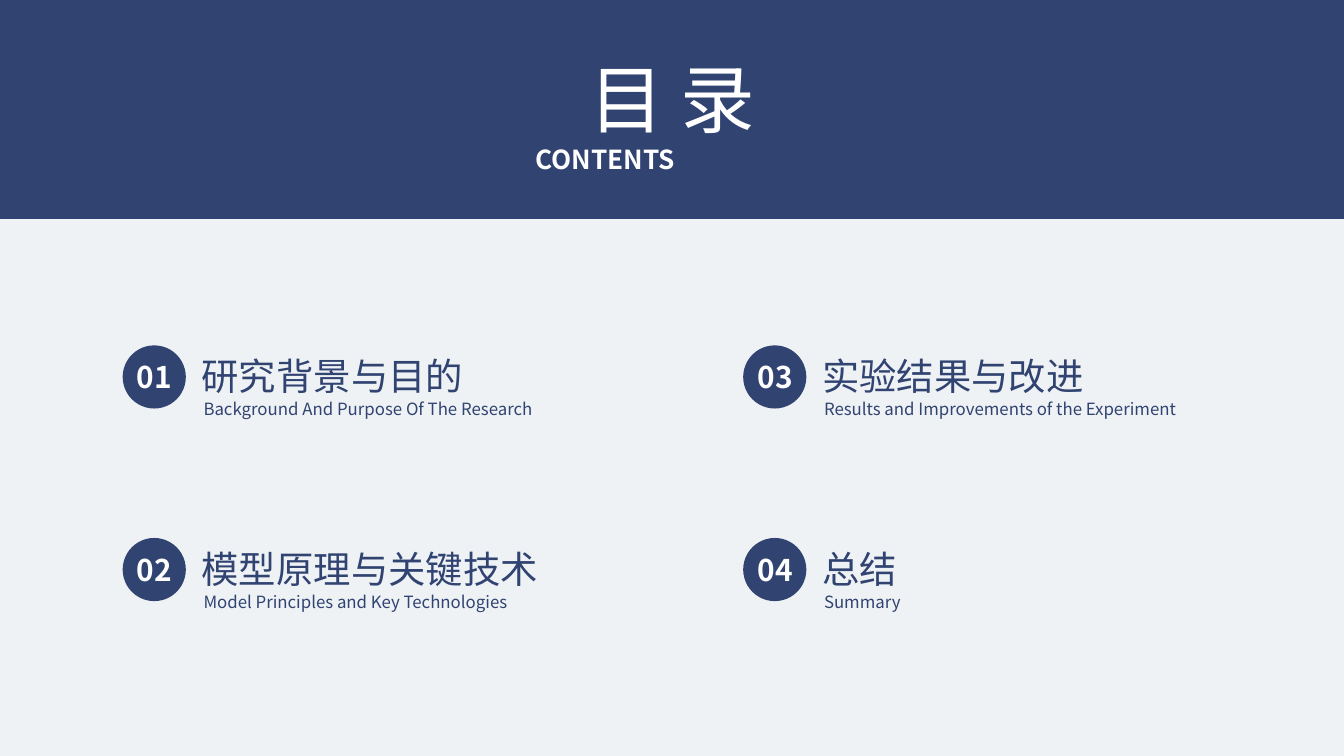
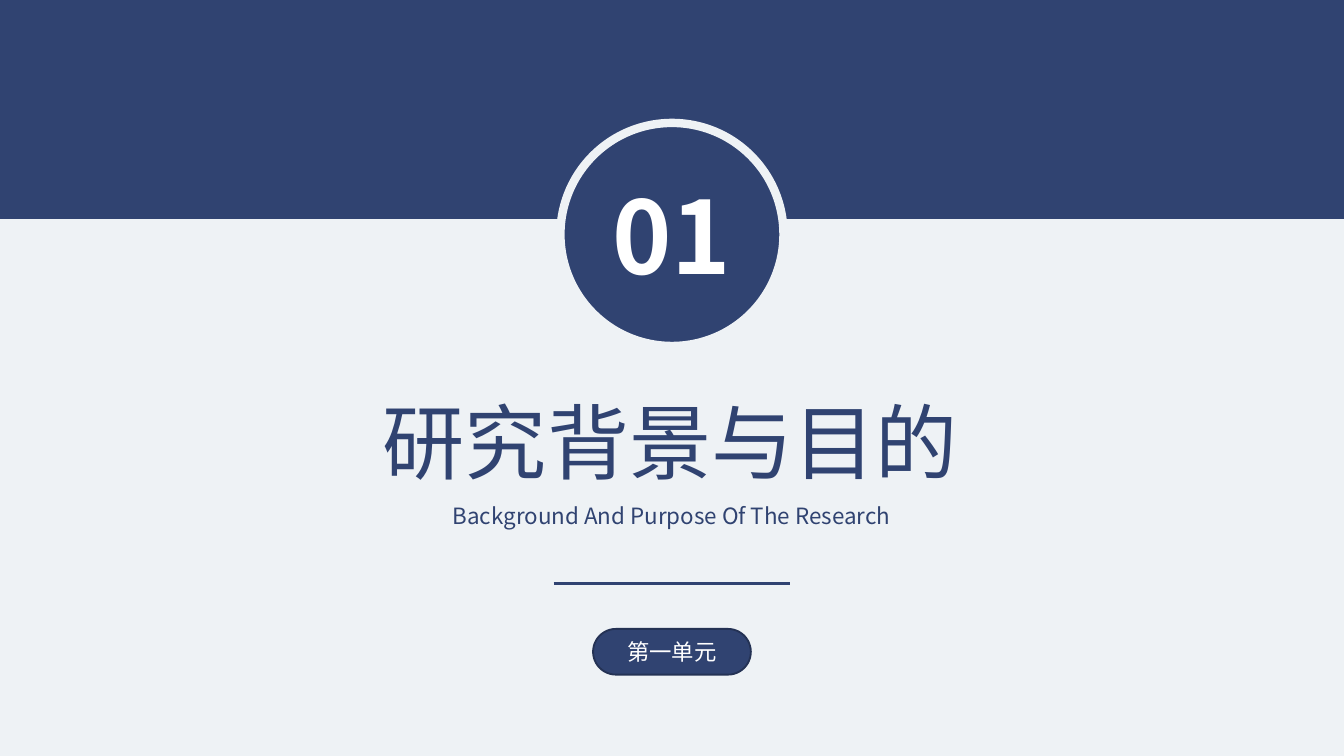
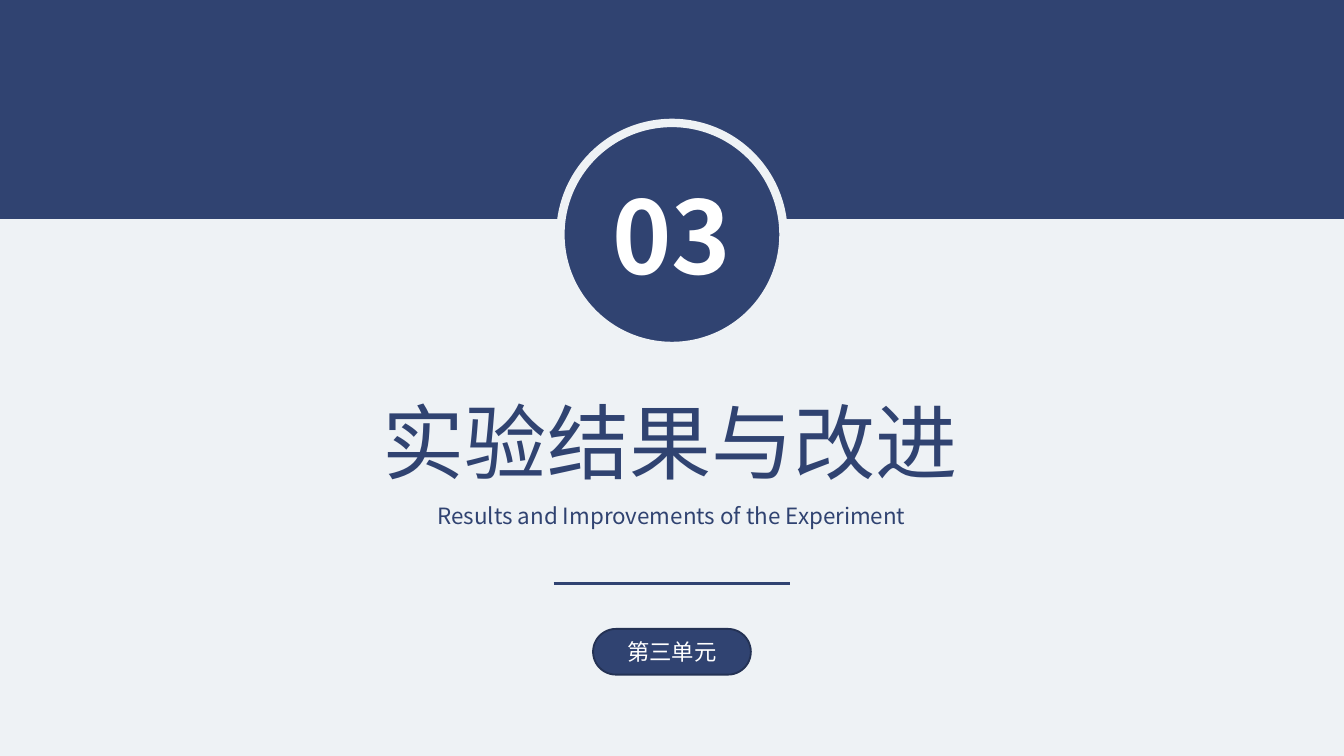
from dataclasses import dataclass

from lxml.etree import SubElement
from pptx import Presentation
from pptx.dml.color import RGBColor as Color
from pptx.enum.shapes import MSO_CONNECTOR as Connector, MSO_SHAPE as Preset
from pptx.enum.text import MSO_ANCHOR as Anchor, MSO_AUTO_SIZE as AutoSize, PP_ALIGN as Align
from pptx.oxml.ns import qn
from pptx.util import Inches, Pt

COLUMNS, ROWS = 100, 56.25


@dataclass(frozen=True)
class Theme:
    """Colours, fonts and type sizes of the deck."""
    navy: str = "304371"
    outline: str = "243254"
    paper: str = "EEF2F5"
    white: str = "FFFFFF"
    font: str = "Noto Sans CJK SC"
    latin: str = "Calibri"
    contents_size: int = 40
    contents_label_size: int = 14
    entry_size: int = 20
    entry_note_size: int = 9
    badge_size: int = 16
    number_size: int = 54
    section_size: int = 44
    caption_size: int = 12


@dataclass(frozen=True)
class Chapter:
    """One chapter, with the width of its English name in the contents."""
    number: str
    name: str
    english: str
    english_width: float
    name_font: str


THEME = Theme()
CHAPTERS = [
    Chapter("01", "研究背景与目的", "Background And Purpose Of The Research", 27.6, THEME.latin),
    Chapter("02", "模型原理与关键技术", "Model Principles and Key Technologies", 25.6, THEME.latin),
    Chapter("03", "实验结果与改进", "Results and Improvements of the Experiment", 30.2, THEME.font),
    Chapter("04", "总结", "Summary", 7.7, THEME.font),
]


def write_text(frame, text, size, color=THEME.navy, font=THEME.font, bold=False, align=Align.LEFT):
    """Write one formatted paragraph into a text frame."""
    para = frame.paragraphs[0]
    para.alignment = align
    span = para.add_run()
    span.text = text
    span.font.size = Pt(size)
    span.font.bold = bold
    span.font.color.rgb = Color.from_string(color)
    span.font.name = font
    SubElement(span.font._element, qn("a:ea"), typeface=THEME.font)


class Painter:
    """Holds the theme and the current page, and draws on a grid."""

    def __init__(self, theme):
        """Start a deck of the right size."""
        self.theme = theme
        self.deck = Presentation()
        self.deck.slide_width = Inches(10)
        self.deck.slide_height = self.deck.slide_width * 9 // 16
        self.page = None

    def place(self, left, top, width, height):
        """Turn columns and rows into slide lengths."""
        column = self.deck.slide_width / COLUMNS
        row = self.deck.slide_height / ROWS
        return [round(n) for n in (left * column, top * row, width * column, height * row)]

    def new_page(self):
        """Add a page with the shared background and top band."""
        self.page = self.deck.slides.add_slide(self.deck.slide_layouts[6])
        fill = self.page.background.fill
        fill.solid()
        fill.fore_color.rgb = Color.from_string(self.theme.paper)
        self.shape(Preset.RECTANGLE, 0, 0, COLUMNS, 16.3)

    def shape(self, preset, left, top, width, height, line=None, line_width=1):
        """Draw a navy shape, outlined if a line colour is given."""
        box = self.page.shapes.add_shape(preset, *self.place(left, top, width, height))
        box.shadow.inherit = False
        box.fill.solid()
        box.fill.fore_color.rgb = Color.from_string(self.theme.navy)
        if line:
            box.line.color.rgb = Color.from_string(line)
            box.line.width = Pt(line_width)
        else:
            box.line.fill.background()
        return box

    def text(self, text, left, top, width, height, size, wrap=True, **style):
        """Draw a text box that grows with its text."""
        box = self.page.shapes.add_textbox(*self.place(left, top, width, height))
        box.text_frame.word_wrap = wrap
        box.text_frame.auto_size = AutoSize.SHAPE_TO_FIT_TEXT
        write_text(box.text_frame, text, size, **style)

    def rule(self, left, top, width):
        """Draw a horizontal line."""
        x, y, length, _ = self.place(left, top, width, 0)
        line = self.page.shapes.add_connector(Connector.STRAIGHT, x, y, x + length, y)
        line.line.color.rgb = Color.from_string(self.theme.navy)
        line.line.width = Pt(1.5)
        SubElement(line._element.spPr, qn("a:effectLst"))

    def pill(self, text, left, top, width, height):
        """Draw a rounded label."""
        box = self.shape(Preset.ROUNDED_RECTANGLE, left, top, width, height, self.theme.outline)
        box.adjustments[0] = 0.5
        box.text_frame.vertical_anchor = Anchor.MIDDLE
        write_text(box.text_frame, text, self.theme.caption_size,
                   color=self.theme.white, align=Align.CENTER)

    def entry(self, chapter, left, top):
        """Draw a chapter of the contents with its badge."""
        theme = self.theme
        name_width = 2.8 * len(chapter.name) + 2.1
        self.text(chapter.name, left + 4.88, top + 0.1, name_width, 4.4, theme.entry_size,
                  wrap=False, font=chapter.name_font)
        self.text(chapter.english, left + 5.03, top + 3.5, chapter.english_width, 2.5,
                  theme.entry_note_size, wrap=False)
        self.shape(Preset.OVAL, left, top, 4.7, 4.7)
        self.text(chapter.number, left - 0.13, top + 0.5, 5, 3.7, theme.badge_size,
                  color=theme.white, bold=True, align=Align.CENTER)

    def contents(self, chapters):
        """Draw the contents page, two chapters to a column."""
        theme = self.theme
        self.new_page()
        self.text("目 录", 42.55, 3.45, 14.9, 7.7, theme.contents_size, wrap=False,
                  color=theme.white, align=Align.CENTER)
        self.text("CONTENTS", 38.85, 10.2, 22.3, 3.4, theme.contents_label_size,
                  color=theme.white, bold=True, align=Align.JUSTIFY)
        for index, chapter in enumerate(chapters):
            column, row = divmod(index, 2)
            self.entry(chapter, 9.13 + 46.17 * column, 25.7 + 14.33 * row)

    def section(self, chapter, unit):
        """Draw the opening page of a chapter."""
        theme = self.theme
        self.new_page()
        self.shape(Preset.OVAL, 41.7, 9.15, 16.6, 16.6, theme.paper, 4.5)
        self.text(chapter.number, 42.95, 12.45, 14.1, 10.1, theme.number_size,
                  color=theme.white, bold=True, align=Align.CENTER)
        self.text(chapter.name, 27.5, 28.65, 45.2, 8.4, theme.section_size, wrap=False)
        self.text(chapter.english, 21.93, 36.9, 56.1, 3, theme.caption_size, align=Align.CENTER)
        self.rule(41.2, 43.4, 17.6)
        self.pill(unit, 44.13, 46.8, 11.74, 3.4)


def main():
    """Build and save the deck."""
    painter = Painter(THEME)
    painter.contents(CHAPTERS)
    painter.section(CHAPTERS[0], "第一单元")
    painter.section(CHAPTERS[2], "第三单元")
    painter.deck.save("out.pptx")


if __name__ == "__main__":
    main()
